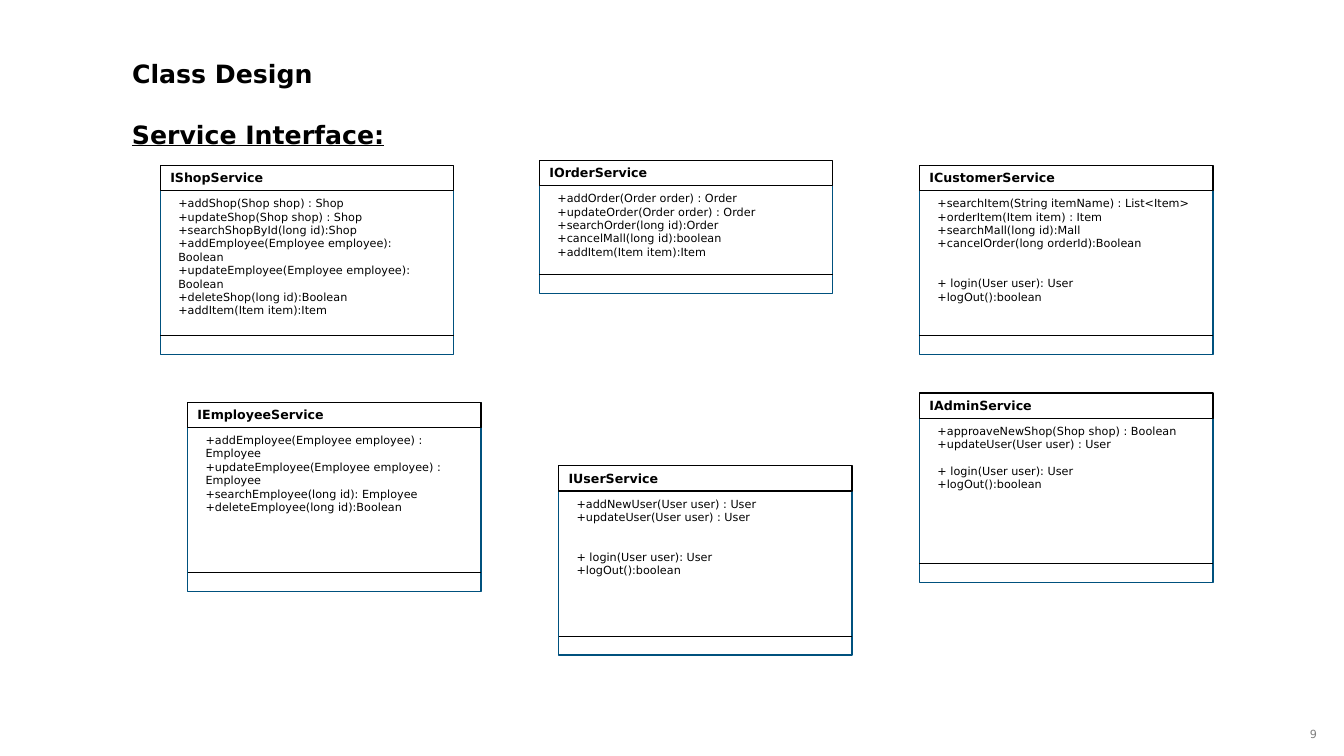
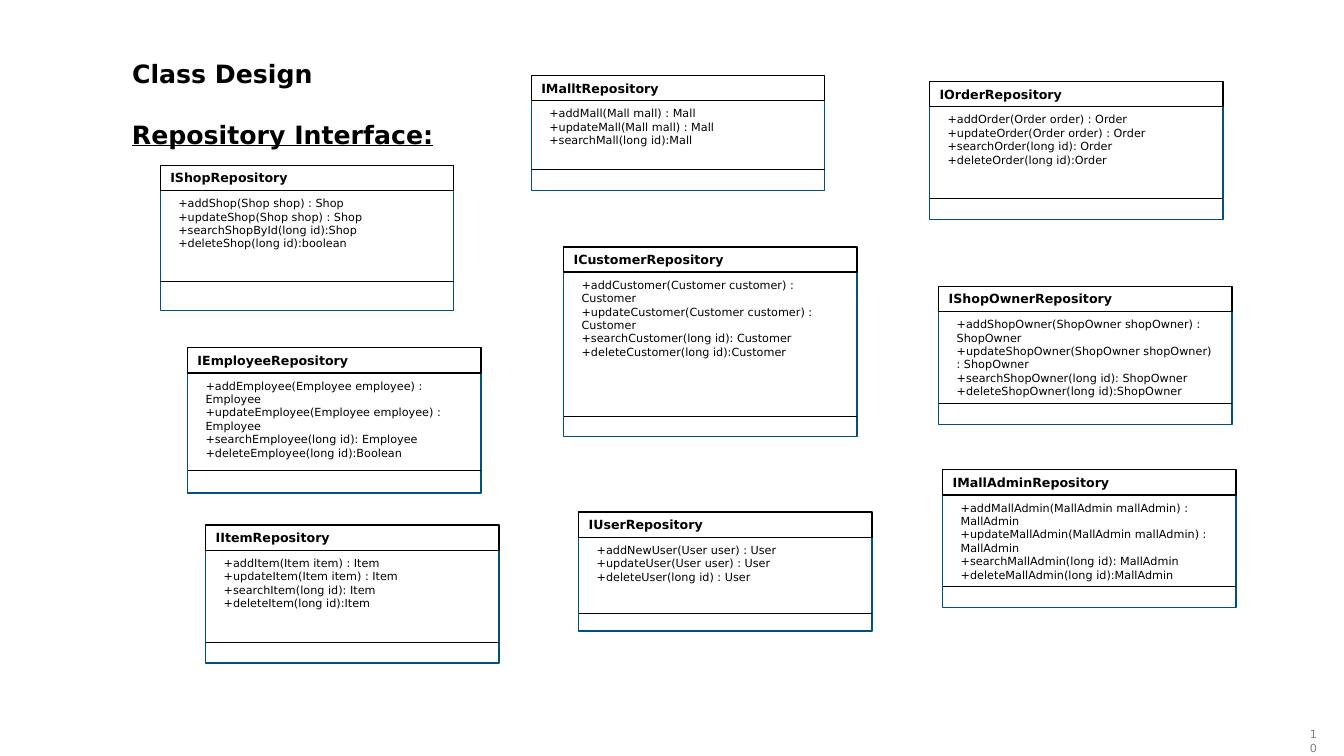
from dataclasses import dataclass

from pptx import Presentation
from pptx.dml.color import RGBColor
from pptx.enum.shapes import MSO_CONNECTOR as Connector, MSO_SHAPE as Preset
from pptx.enum.text import MSO_ANCHOR as Anchor, MSO_AUTO_SIZE as AutoSize, PP_ALIGN as Align
from pptx.oxml.ns import qn
from pptx.shapes.autoshape import Shape
from pptx.slide import Slide
from pptx.util import Inches, Pt
from lxml.etree import SubElement

COLORS = {"ink": "000000", "paper": "FFFFFF", "frame": "00517E", "number": "7F7F7F"}
FONT = "DejaVu Sans"
CARD_WIDTH = 2.91
HEADER_HEIGHT = 0.25
BLANK_LINE = 9.5  # points
LOGIN = ("+ login(User user): User", "+logOut():boolean")
EMPLOYEE_METHODS = (
    "+addEmployee(Employee employee) : Employee",
    "+updateEmployee(Employee employee) : Employee",
    "+searchEmployee(long id): Employee",
    "+deleteEmployee(long id):Boolean",
)


@dataclass(frozen=True)
class Interface:
    """A class card; an empty method string leaves one line of space."""
    name: str
    left: float
    top: float
    methods: tuple[str, ...]
    height: float = 1.87
    footer: float = 0.19


@dataclass(frozen=True)
class ClassPage:
    number: int
    heading: str
    interfaces: tuple[Interface, ...]


PAGES = (
    ClassPage(9, "Service Interface:", (
        Interface("IShopService", 1.59, 1.65, (
            "+addShop(Shop shop) : Shop",
            "+updateShop(Shop shop) : Shop",
            "+searchShopById(long id):Shop",
            "+addEmployee(Employee employee): Boolean",
            "+updateEmployee(Employee employee): Boolean",
            "+deleteShop(long id):Boolean",
            "+addItem(Item item):Item",
        )),
        Interface("IOrderService", 5.35, 1.6, (
            "+addOrder(Order order) : Order",
            "+updateOrder(Order order) : Order",
            "+searchOrder(long id):Order",
            "+cancelMall(long id):boolean",
            "+addItem(Item item):Item",
        ), height=1.31),
        Interface("IEmployeeService", 1.86, 4, EMPLOYEE_METHODS),
        Interface("IUserService", 5.54, 4.63, (
            "+addNewUser(User user) : User",
            "+updateUser(User user) : User",
            "", "", *LOGIN,
        )),
        Interface("ICustomerService", 9.12, 1.65, (
            "+searchItem(String itemName) : List<Item>",
            "+orderItem(Item item) : Item",
            "+searchMall(long id):Mall",
            "+cancelOrder(long orderId):Boolean",
            "", "", *LOGIN,
        )),
        Interface("IAdminService", 9.12, 3.91, (
            "+approaveNewShop(Shop shop) : Boolean",
            "+updateUser(User user) : User",
            "", *LOGIN,
        )),
    )),
    ClassPage(10, "Repository Interface:", (
        Interface("IShopRepository", 1.59, 1.65, (
            "+addShop(Shop shop) : Shop",
            "+updateShop(Shop shop) : Shop",
            "+searchShopById(long id):Shop",
            "+deleteShop(long id):boolean",
        ), 1.43, 0.29),
        Interface("IMalltRepository", 5.27, 0.76, (
            "+addMall(Mall mall) : Mall",
            "+updateMall(Mall mall) : Mall",
            "+searchMall(long id):Mall",
        ), 1.13, 0.21),
        Interface("IEmployeeRepository", 1.86, 3.46, EMPLOYEE_METHODS, 1.43, 0.22),
        Interface("IUserRepository", 5.74, 5.09, (
            "+addNewUser(User user) : User",
            "+updateUser(User user) : User",
            "+deleteUser(long id) : User",
        ), 1.17, 0.17),
        Interface("ICustomerRepository", 5.59, 2.46, (
            "+addCustomer(Customer customer) : Customer",
            "+updateCustomer(Customer customer) : Customer",
            "+searchCustomer(long id): Customer",
            "+deleteCustomer(long id):Customer",
        ), footer=0.2),
        Interface("IOrderRepository", 9.22, 0.82, (
            "+addOrder(Order order) : Order",
            "+updateOrder(Order order) : Order",
            "+searchOrder(long id): Order",
            "+deleteOrder(long id):Order",
        ), 1.36, 0.21),
        Interface("IShopOwnerRepository", 9.31, 2.85, (
            "+addShopOwner(ShopOwner shopOwner) : ShopOwner",
            "+updateShopOwner(ShopOwner shopOwner) : ShopOwner",
            "+searchShopOwner(long id): ShopOwner",
            "+deleteShopOwner(long id):ShopOwner",
        ), 1.36, 0.21),
        Interface("IMallAdminRepository", 9.35, 4.67, (
            "+addMallAdmin(MallAdmin mallAdmin) : MallAdmin",
            "+updateMallAdmin(MallAdmin mallAdmin) : MallAdmin",
            "+searchMallAdmin(long id): MallAdmin",
            "+deleteMallAdmin(long id):MallAdmin",
        ), 1.36, 0.21),
        Interface("IItemRepository", 2.04, 5.22, (
            "+addItem(Item item) : Item",
            "+updateItem(Item item) : Item",
            "+searchItem(long id): Item",
            "+deleteItem(long id):Item",
        ), 1.36, 0.21),
    )),
)


def rgb(name: str) -> RGBColor:
    return RGBColor.from_string(COLORS[name])


def write(box: Shape, *lines: str, size: float, color: str = "ink", bold: bool = False,
          underline: bool = False, align: Align = Align.LEFT,
          anchor: Anchor = Anchor.TOP) -> None:
    """Write one paragraph per line; empty lines become space before the next one."""
    frame = box.text_frame
    frame.word_wrap = True
    frame.auto_size = AutoSize.NONE
    frame.vertical_anchor = anchor
    para, blanks = None, 0
    for line in lines:
        if not line:
            blanks += 1
            continue
        para = frame.add_paragraph() if para is not None else frame.paragraphs[0]
        para.alignment = align
        para.space_before = Pt(blanks * BLANK_LINE)
        blanks = 0
        span = para.add_run()
        span.text = line
        font = span.font
        font.name, font.size = FONT, Pt(size)
        font.bold, font.underline = bold, underline
        font.color.rgb = rgb(color)


def add_box(page: Slide, left: float, top: float, width: float, height: float) -> Shape:
    return page.shapes.add_textbox(Inches(left), Inches(top), Inches(width), Inches(height))


def add_rectangle(page: Slide, left: float, top: float, height: float, line: str) -> Shape:
    rectangle = page.shapes.add_shape(Preset.RECTANGLE, Inches(left), Inches(top),
                                      Inches(CARD_WIDTH), Inches(height))
    rectangle.shadow.inherit = False
    rectangle.fill.background()
    rectangle.line.color.rgb = rgb(line)
    rectangle.line.width = Pt(1)
    return rectangle


def add_divider(page: Slide, left: float, top: float) -> None:
    divider = page.shapes.add_connector(Connector.STRAIGHT, Inches(left), Inches(top),
                                        Inches(left + CARD_WIDTH), Inches(top))
    divider.line.color.rgb = rgb("ink")
    divider.line.width = Pt(0.75)
    SubElement(divider._element.spPr, qn("a:effectLst"))


def add_interface(page: Slide, card: Interface) -> None:
    add_rectangle(page, card.left, card.top, card.height, "frame")
    header = add_rectangle(page, card.left, card.top - 0.01, HEADER_HEIGHT, "ink")
    header.fill.solid()
    header.fill.fore_color.rgb = rgb("paper")
    write(header, card.name, size=9, bold=True)

    divider_top = card.top + card.height - card.footer
    methods_top = card.top + HEADER_HEIGHT
    methods = add_box(page, card.left + 0.08, methods_top, 2.73, divider_top - methods_top)
    write(methods, *card.methods, size=8)
    add_divider(page, card.left, divider_top)


def add_page(deck: Presentation, content: ClassPage) -> None:
    page = deck.slides.add_slide(deck.slide_layouts.get_by_name("Title Only"))
    title = page.shapes.title
    title.left, title.top = Inches(1.21), Inches(0.53)
    title.width, title.height = Inches(3), Inches(0.4)
    write(title, "Class Design", size=18, bold=True)
    write(add_box(page, 1.21, 1.13, 7.63, 0.4), content.heading, size=18, bold=True,
          underline=True, anchor=Anchor.MIDDLE)
    write(add_box(page, 12.89, 7.17, 0.27, 0.24), str(content.number), size=8,
          color="number", align=Align.RIGHT)
    for card in content.interfaces:
        add_interface(page, card)


def main() -> None:
    deck = Presentation()
    deck.slide_width, deck.slide_height = Inches(13.33), Inches(7.5)
    for content in PAGES:
        add_page(deck, content)
    deck.save("out.pptx")


if __name__ == "__main__":
    main()
